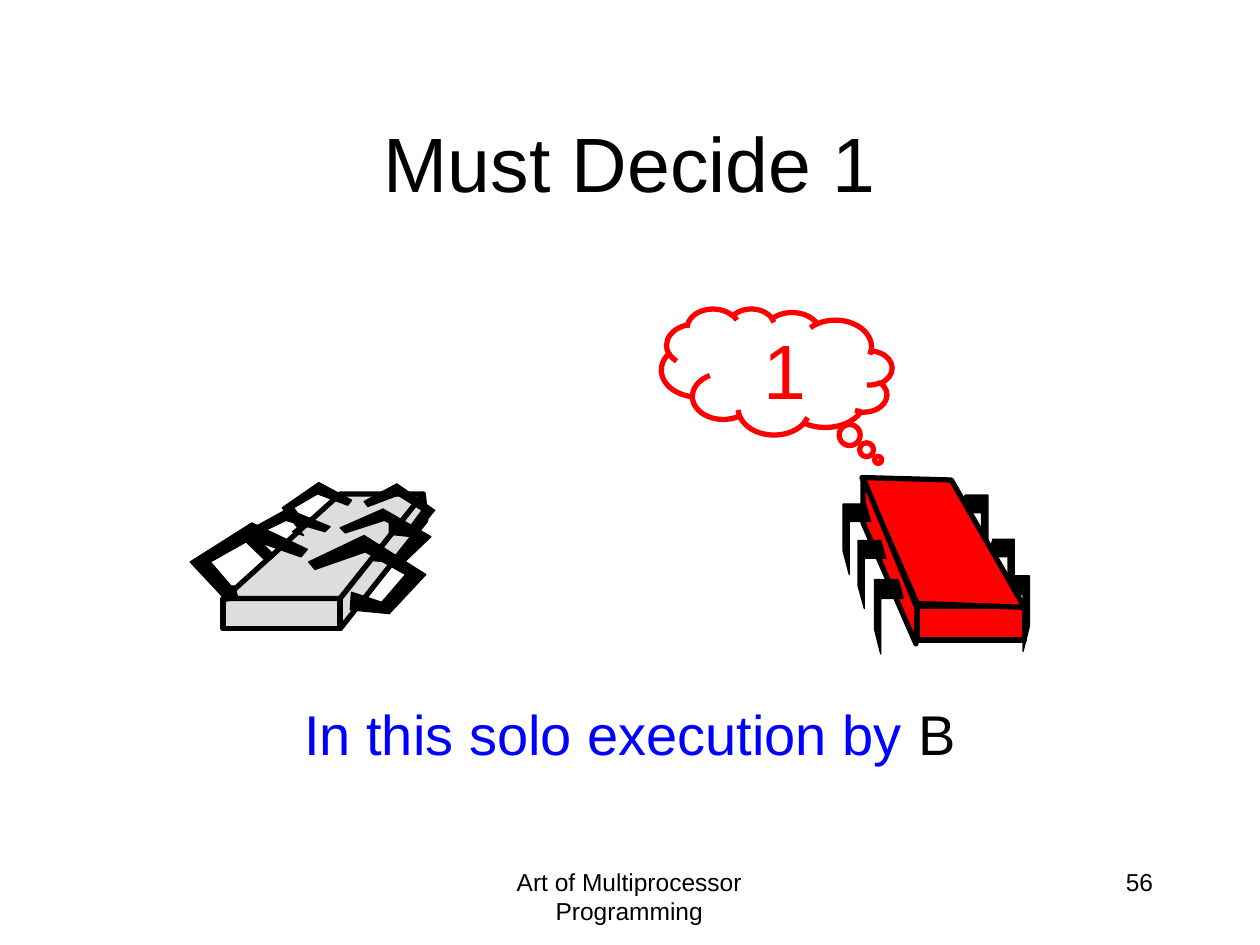
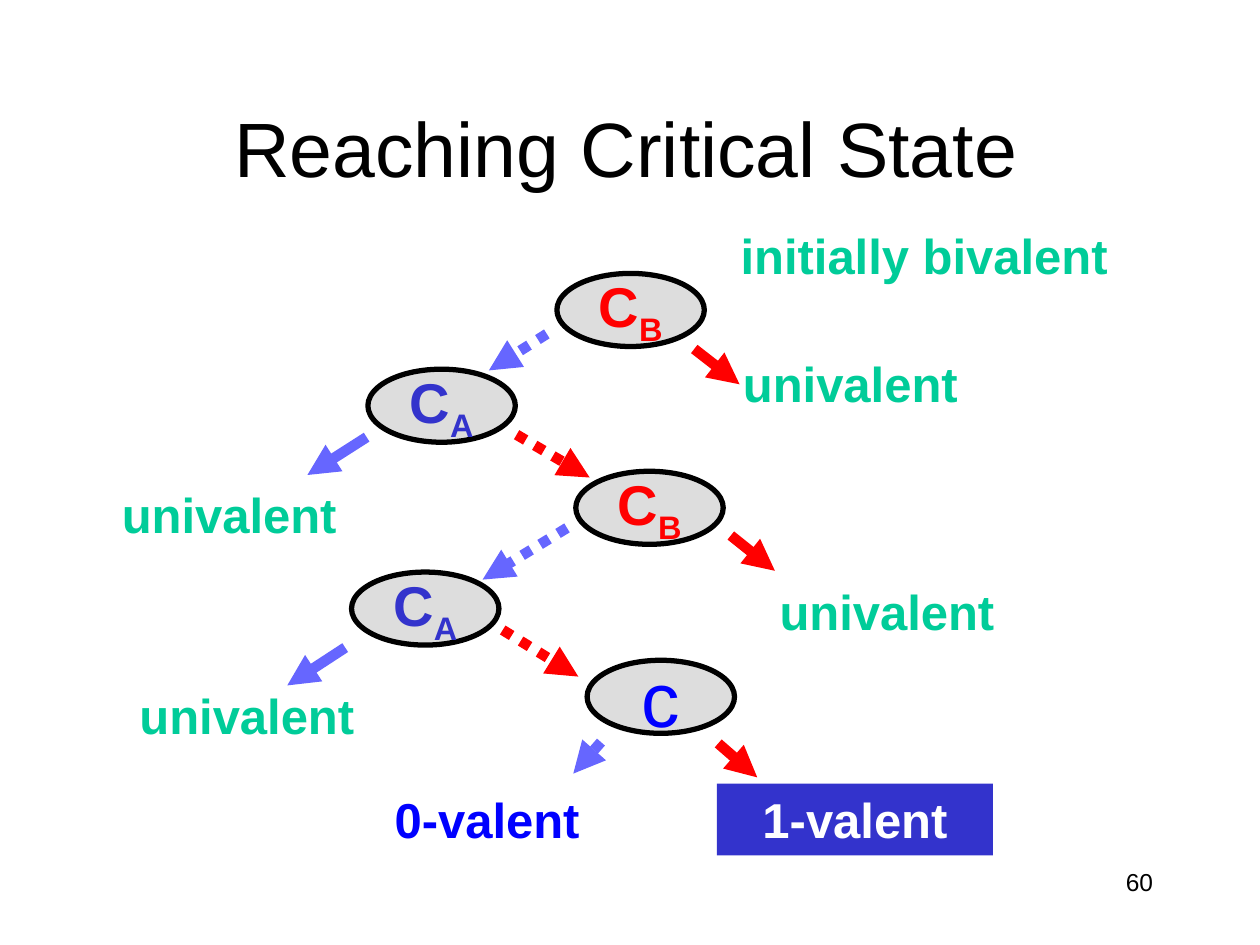
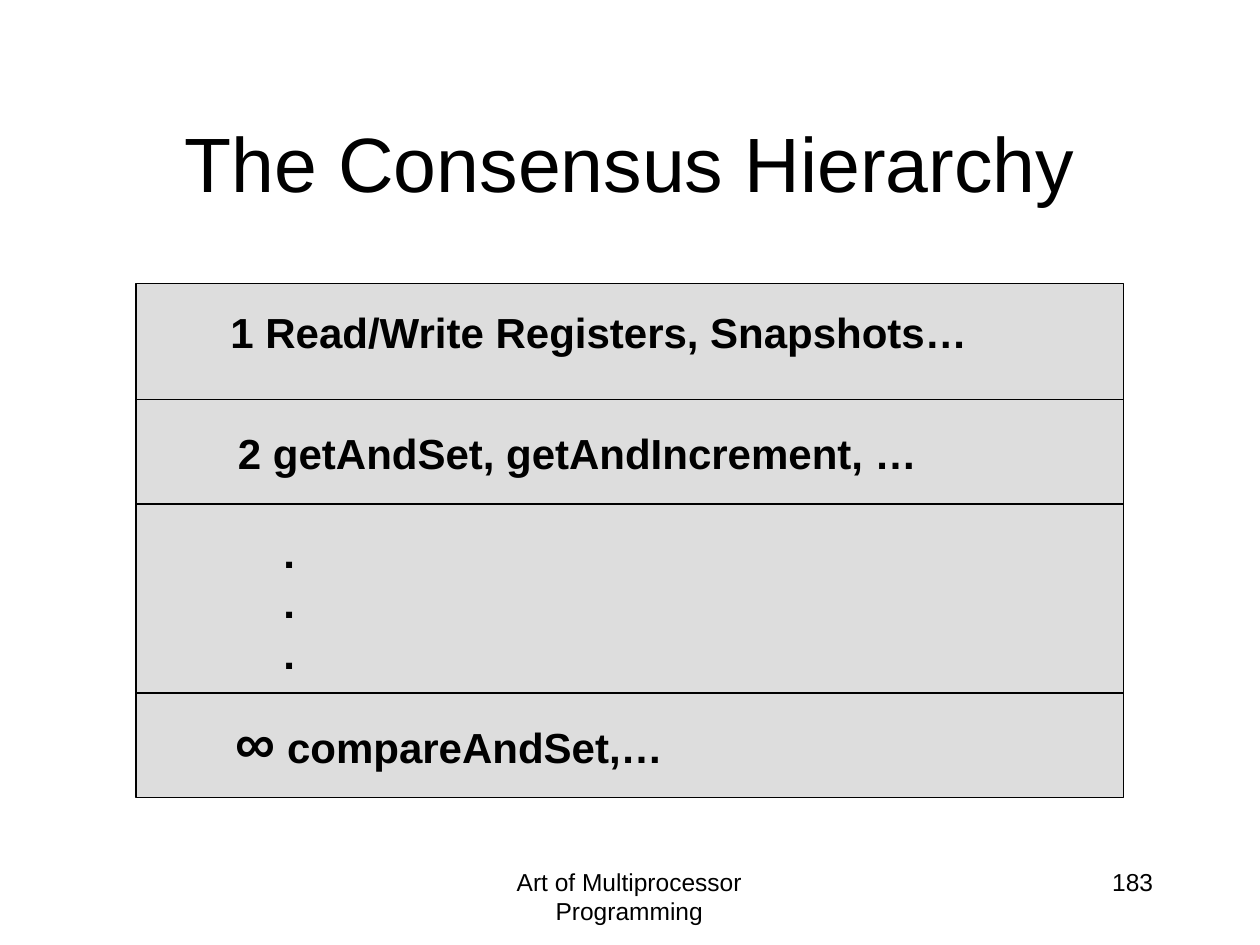
"""Builds three slides on consensus: a solo execution, a critical state and the hierarchy."""
from dataclasses import dataclass
from typing import NamedTuple, Optional

import pptx
import pptx.dml.color
import pptx.enum.dml
import pptx.enum.shapes
import pptx.enum.text
import pptx.oxml.ns
import pptx.util
from lxml import etree

PX = 9144
SHAPE = pptx.enum.shapes.MSO_SHAPE
ALIGN = pptx.enum.text.PP_ALIGN
ANCHOR = pptx.enum.text.MSO_ANCHOR


@dataclass(frozen=True)
class Theme:
    font: str = "Arial"
    ink: str = "000000"
    paper: str = "FFFFFF"
    grey: str = "DDDDDD"
    red: str = "FF0000"
    blue: str = "0000FF"
    navy: str = "3333CC"
    violet: str = "6666FF"
    green: str = "00CC99"
    title: int = 44
    large: int = 32
    label: int = 28
    level: int = 24
    footer: int = 14
    hairline: float = 0.75
    outline: int = 3
    arrow: int = 6


THEME = Theme()


class Box(NamedTuple):
    left: int
    top: int
    width: int
    height: int


class Span(NamedTuple):
    text: str
    color: Optional[str] = None
    size: Optional[int] = None
    subscript: bool = False


@dataclass(frozen=True)
class Style:
    size: int
    color: str = THEME.ink
    bold: bool = False
    align: ALIGN = ALIGN.CENTER
    anchor: ANCHOR = ANCHOR.TOP
    wrap: bool = True


class Patch(NamedTuple):
    points: list[tuple[int, int]]
    fill: str
    line: float


class State(NamedTuple):
    left: int
    top: int
    thread: str
    color: str


class Step(NamedTuple):
    start: tuple[int, int]
    end: tuple[int, int]
    color: str
    dotted: bool = False


class Label(NamedTuple):
    text: str
    box: Box


TITLE = Style(THEME.title, anchor=ANCHOR.MIDDLE)
CAPTION = Style(THEME.large, THEME.blue)
VALENCE = Style(THEME.label, THEME.green, True, ALIGN.RIGHT, wrap=False)
LEVEL = Style(THEME.level, bold=True, align=ALIGN.LEFT, wrap=False)

RED_LEG = [(4, 0), (23, 0), (23, 40), (18, 60), (18, 15), (0, 15)]
GREY_LEG = [(34, 45), (33, 59), (64, 62), (93, 31), (44, 0), (0, 21),
            (5, 27), (45, 13), (77, 31), (58, 53)]

RED_RIGHT_LEGS = [Box(794, 457, 23, 60), Box(784, 428, 21, 54), Box(762, 393, 22, 56)]
RED_LEFT_LEGS = [Box(694, 460, 23, 59), Box(681, 429, 22, 54), Box(669, 400, 22, 56)]
GREY_RIGHT_LEGS = [Box(245, 425, 93, 62), Box(270, 404, 72, 43), Box(289, 384, 56, 42)]
RED_BODY = [
    [(813, 482), (728, 479), (684, 379), (755, 381)],
    [(685, 379), (685, 415), (727, 511), (728, 483)],
]
GREY_BODY = [
    [(336, 392), (270, 475), (178, 475), (270, 392)],
    [(336, 392), (338, 413), (270, 499), (270, 475)],
]
GREY_LEFT_LEGS = [
    [(220, 434), (217, 442), (212, 446), (190, 425), (228, 404), (262, 418),
     (258, 422), (227, 413), (202, 425), (217, 440)],
    [(244, 413), (232, 422), (241, 425), (224, 403), (253, 383), (279, 397),
     (276, 401), (252, 392), (233, 403), (244, 418)],
    [(184, 470), (187, 468), (189, 475), (180, 477), (151, 446), (200, 415), (244, 436),
     (239, 442), (199, 428), (167, 446), (186, 468), (184, 465), (190, 465)],
]

STATES = [
    State(442, 217, "B", THEME.red),
    State(292, 293, "A", THEME.navy),
    State(457, 374, "B", THEME.red),
    State(279, 454, "A", THEME.navy),
]
STATE_SIZE = (117, 58)
STEPS = [
    Step((434, 265), (388, 294), THEME.violet, True),
    Step((551, 277), (587, 305), THEME.red),
    Step((410, 345), (468, 379), THEME.red, True),
    Step((291, 347), (244, 377), THEME.violet),
    Step((450, 419), (383, 460), THEME.violet, True),
    Step((580, 425), (615, 453), THEME.red),
    Step((399, 500), (459, 537), THEME.red, True),
    Step((274, 514), (228, 544), THEME.violet),
    Step((477, 589), (455, 614), THEME.violet, True),
    Step((570, 590), (601, 617), THEME.red),
]
VALENCES = [
    Label("initially bivalent", Box(578, 174, 311, 57)),
    *(Label("univalent", Box(left, top, 194, 57))
      for left, top in [(576, 276), (83, 380), (605, 457), (97, 539)]),
]

HIERARCHY = Box(108, 225, 784, 408)
LEVEL_RULES = [317, 400, 550]
LEVELS = [
    Label("1 Read/Write Registers, Snapshots…", Box(173, 238, 605, 50)),
    Label("2 getAndSet, getAndIncrement, …", Box(179, 334, 559, 50)),
]


def rgb(color: str) -> pptx.dml.color.RGBColor:
    """Turns a hex string into a colour."""
    return pptx.dml.color.RGBColor.from_string(color)


def emu(box: Box) -> list[int]:
    """Scales a box to EMU."""
    return [length * PX for length in box]


def write(shape, paragraphs: list[list[Span]], style: Style) -> None:
    """Fills a shape with paragraphs in one style."""
    frame = shape.text_frame
    frame.word_wrap = style.wrap
    frame.vertical_anchor = style.anchor
    for index, spans in enumerate(paragraphs):
        paragraph = frame.add_paragraph() if index else frame.paragraphs[0]
        paragraph.alignment = style.align
        paragraph.font.name = THEME.font
        paragraph.font.size = pptx.util.Pt(style.size)
        paragraph.font.bold = style.bold
        paragraph.font.color.rgb = rgb(style.color)
        for span in spans:
            run = paragraph.add_run()
            run.text = span.text
            if span.color:
                run.font.color.rgb = rgb(span.color)
            if span.size:
                run.font.size = pptx.util.Pt(span.size)
            if span.subscript:
                run._r.get_or_add_rPr().set("baseline", "-25000")


def add_text(slide, box: Box, paragraphs: list[list[Span]], style: Style) -> None:
    """Adds a text box, which grows with its text when it does not wrap."""
    textbox = slide.shapes.add_textbox(*emu(box))
    write(textbox, paragraphs, style)
    if not style.wrap:
        textbox.text_frame.auto_size = pptx.enum.text.MSO_AUTO_SIZE.SHAPE_TO_FIT_TEXT


def paint(shape, fill: Optional[str], line: Optional[float], color: str = THEME.ink) -> None:
    """Sets fill and outline and drops the shadow."""
    shape.shadow.inherit = False
    if fill:
        shape.fill.solid()
        shape.fill.fore_color.rgb = rgb(fill)
    else:
        shape.fill.background()
    if line:
        shape.line.width = pptx.util.Pt(line)
        shape.line.color.rgb = rgb(color)
    else:
        shape.line.fill.background()


def add_shape(slide, kind: SHAPE, box: Box, fill: Optional[str],
              line: Optional[float] = None, color: str = THEME.ink):
    """Adds a painted preset shape."""
    shape = slide.shapes.add_shape(kind, *emu(box))
    paint(shape, fill, line, color)
    return shape


def add_patch(slide, patch: Patch) -> None:
    """Adds a closed outline."""
    builder = slide.shapes.build_freeform(*patch.points[0], scale=PX)
    builder.add_line_segments(patch.points[1:], close=True)
    paint(builder.convert_to_shape(), patch.fill, patch.line)


def add_line(slide, start: tuple[int, int], end: tuple[int, int], color: str, width: float):
    """Adds a straight connector without shadow."""
    line = slide.shapes.add_connector(
        pptx.enum.shapes.MSO_CONNECTOR.STRAIGHT, *(length * PX for length in start + end))
    line.line.color.rgb = rgb(color)
    line.line.width = pptx.util.Pt(width)
    etree.SubElement(line.element.spPr, pptx.oxml.ns.qn("a:effectLst"))
    return line


def add_step(slide, step: Step) -> None:
    """Adds an arrow from one state to the next."""
    arrow = add_line(slide, step.start, step.end, step.color, THEME.arrow)
    if step.dotted:
        arrow.line.dash_style = pptx.enum.dml.MSO_LINE.ROUND_DOT
    outline = arrow.line._get_or_add_ln()
    etree.SubElement(outline, pptx.oxml.ns.qn("a:tailEnd"), type="triangle")


def fit(outline: list[tuple[int, int]], box: Box, mirrored: bool = False) -> list[tuple[int, int]]:
    """Stretches an outline over a box, mirrored when asked."""
    span = max(x for x, _ in outline)
    rise = max(y for _, y in outline)
    return [(box.left + round((span - x if mirrored else x) * box.width / span),
             box.top + round(y * box.height / rise)) for x, y in outline]


def add_red_thread(slide) -> None:
    """Draws the standing red thread."""
    add_shape(slide, SHAPE.RECTANGLE, Box(728, 481, 85, 27), THEME.red, THEME.outline)
    for leg in RED_RIGHT_LEGS:
        add_patch(slide, Patch(fit(RED_LEG, leg), THEME.ink, THEME.hairline))
    for face in RED_BODY:
        add_patch(slide, Patch(face, THEME.red, THEME.outline))
    for leg in RED_LEFT_LEGS:
        add_patch(slide, Patch(fit(RED_LEG, leg, True), THEME.ink, THEME.hairline))


def add_grey_thread(slide) -> None:
    """Draws the halted grey thread."""
    add_shape(slide, SHAPE.RECTANGLE, Box(177, 475, 93, 24), THEME.grey, THEME.outline)
    for face in GREY_BODY:
        add_patch(slide, Patch(face, THEME.grey, THEME.outline))
    for leg in [fit(GREY_LEG, box) for box in GREY_RIGHT_LEGS] + GREY_LEFT_LEGS:
        add_patch(slide, Patch(leg, THEME.ink, THEME.hairline))


def add_slide(deck, title: str, number: int, title_at: tuple[int, int] = (75, 66),
              has_footer: bool = True):
    """Adds a blank slide with title, number and footer."""
    slide = deck.slides.add_slide(deck.slide_layouts[6])
    if has_footer:
        add_text(slide, Box(341, 683, 317, 50),
                 [[Span("Art of Multiprocessor Programming")]], Style(THEME.footer))
    add_text(slide, Box(717, 683, 208, 50), [[Span(str(number))]],
             Style(THEME.footer, align=ALIGN.RIGHT))
    add_text(slide, Box(*title_at, 850, 125), [[Span(title)]], TITLE)
    return slide


def build_solo_execution(deck) -> None:
    """Builds the slide where one thread decides alone."""
    slide = add_slide(deck, "Must Decide 1", 56)
    add_red_thread(slide)
    thought = add_shape(slide, SHAPE.CLOUD_CALLOUT, Box(525, 245, 183, 100), None,
                        THEME.outline, THEME.red)
    thought.adjustments[0], thought.adjustments[1] = -0.44, 0.7
    thought.element.spPr.xfrm.set("flipH", "1")
    write(thought, [[Span("1")]], Style(THEME.title, THEME.red, anchor=ANCHOR.MIDDLE))
    add_grey_thread(slide)
    add_text(slide, Box(75, 550, 850, 117),
             [[Span("In this solo execution by "), Span("B", THEME.ink)]], CAPTION)


def build_critical_state(deck) -> None:
    """Builds the slide with the tree of states."""
    slide = add_slide(deck, "Reaching Critical State", 60, (72, 54), has_footer=False)
    for state in STATES:
        oval = add_shape(slide, SHAPE.OVAL, Box(state.left, state.top, *STATE_SIZE),
                         THEME.grey, THEME.outline)
        write(oval, [[Span("C"), Span(state.thread, subscript=True)]],
              Style(THEME.large, state.color, True, anchor=ANCHOR.MIDDLE, wrap=False))
    critical = add_shape(slide, SHAPE.OVAL, Box(466, 524, *STATE_SIZE),
                         THEME.grey, THEME.outline)
    write(critical, [[Span("c")]],
          Style(THEME.title, THEME.blue, anchor=ANCHOR.MIDDLE, wrap=False))
    for step in STEPS:
        add_step(slide, step)
    for valence in VALENCES:
        add_text(slide, valence.box, [[Span(valence.text)]], VALENCE)
    add_text(slide, Box(269, 622, 235, 57), [[Span("0-valent")]],
             Style(THEME.label, THEME.blue, True))
    one_valent = add_shape(slide, SHAPE.RECTANGLE, Box(569, 622, 219, 57), THEME.navy)
    write(one_valent, [[Span("1-valent")]], Style(THEME.label, THEME.paper, True))


def build_hierarchy(deck) -> None:
    """Builds the slide with the consensus levels."""
    slide = add_slide(deck, "The Consensus Hierarchy", 183)
    add_shape(slide, SHAPE.RECTANGLE, HIERARCHY, THEME.grey, THEME.hairline)
    right = HIERARCHY.left + HIERARCHY.width
    for rule in LEVEL_RULES:
        add_line(slide, (HIERARCHY.left, rule), (right, rule), THEME.ink, THEME.hairline)
    for level in LEVELS:
        add_text(slide, level.box, [[Span(level.text)]], LEVEL)
    add_text(slide, Box(177, 557, 359, 64),
             [[Span("∞", size=THEME.large), Span(" compareAndSet,…")]], LEVEL)
    add_text(slide, Box(215, 413, 29, 130), [[Span(".")]] * 3, LEVEL)


def main() -> None:
    """Builds and saves the deck."""
    deck = pptx.Presentation()
    deck.slide_width, deck.slide_height = 1000 * PX, 750 * PX
    build_solo_execution(deck)
    build_critical_state(deck)
    build_hierarchy(deck)
    deck.save("out.pptx")


if __name__ == "__main__":
    main()
